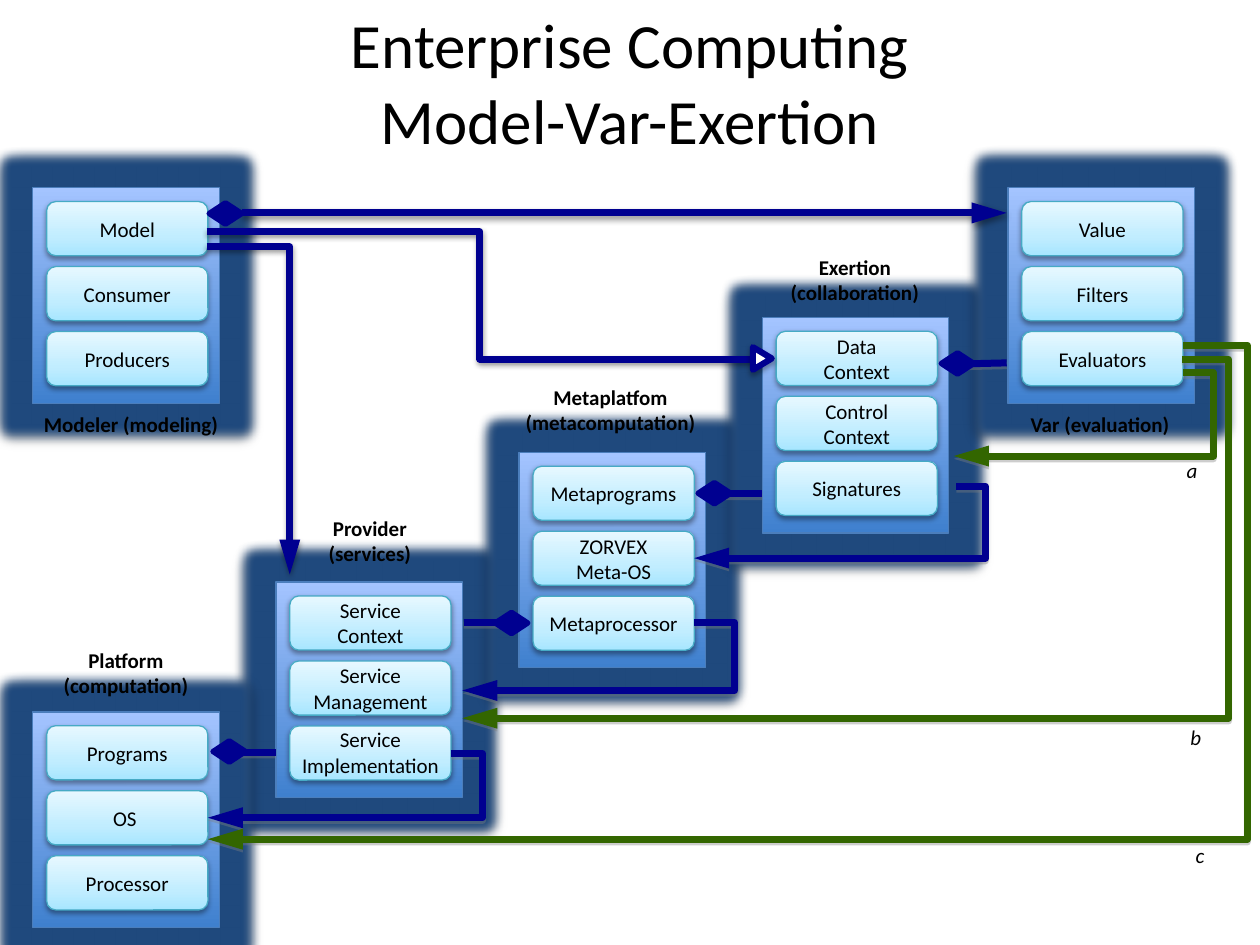
from typing import NamedTuple, Optional

import pptx
import pptx.dml.color
import pptx.enum.shapes
import pptx.enum.text
import pptx.oxml
import pptx.oxml.ns
import pptx.util

Inches = pptx.util.Inches
Pt = pptx.util.Pt
SHAPE = pptx.enum.shapes.MSO_SHAPE
CONNECTOR = pptx.enum.shapes.MSO_CONNECTOR
ALIGN = pptx.enum.text.PP_ALIGN
ANCHOR = pptx.enum.text.MSO_ANCHOR
qn = pptx.oxml.ns.qn

NAVY, GREEN = "000090", "336600"
PANEL_WIDTH, PANEL_HEIGHT = 1.48, 1.71
BUTTON_WIDTH, BUTTON_HEIGHT, BUTTON_MARGIN = 1.28, 0.43, 0.11
BUTTON_PITCH = BUTTON_HEIGHT * 1.2
PANEL_STOPS = [(0, "3F80CE"), (100, "A4C4FF")]
BUTTON_STOPS = [(0, "A7E6FF"), (35, "C1EDFF"), (100, "E7F8FF")]


class Shadow(NamedTuple):
    color: str
    opacity: int
    blur: float
    distance: float


PANEL_SHADOW = Shadow("000000", 35, 3.1, 1.8)
SOFT_SHADOW = Shadow("000000", 38, 3.1, 1.6)
HARD_SHADOW = Shadow("808080", 38, 0, 1.6)


class Panel(NamedTuple):
    left: float
    top: float
    buttons: tuple


class Label(NamedTuple):
    text: str
    left: float
    top: float
    width: float
    height: float
    format: dict


class Link(NamedTuple):
    start: tuple
    end: tuple
    color: str = NAVY
    bend_x: Optional[float] = None
    arrow: bool = True
    shadow: Shadow = HARD_SHADOW


PANELS = [
    Panel(2.19, 4.62, ("Service Context", "Service\nManagement", "")),
    Panel(4.12, 3.59, ("Metaprograms", "ZORVEX\nMeta-OS", "Metaprocessor")),
    Panel(6.05, 2.52, ("Data\nContext", "Control\nContext", "Signatures")),
    Panel(8, 1.49, ("Value", "Filters", "Evaluators")),
    Panel(0.26, 5.65, ("Programs", "OS ", "Processor")),
    Panel(0.26, 1.49, ("Model", "Consumer", "Producers")),
]

LINKS = [
    Link((9.39, 2.96), (7.57, 3.62), GREEN, 9.63),
    Link((7.58, 2.89), (7.99, 2.88), arrow=False),
    Link((7.59, 3.86), (5.51, 4.43), bend_x=7.82),
    Link((5.63, 3.92), (6.05, 3.92), arrow=False),
    Link((3.68, 4.94), (4.07, 4.94), arrow=False),
    Link((1.78, 5.97), (2.19, 5.97), arrow=False),
    Link((3.58, 5.98), (1.65, 6.49), bend_x=3.83),
    Link((5.51, 4.94), (3.67, 5.48), bend_x=5.83),
    Link((9.38, 2.85), (3.67, 5.7), GREEN, 9.75),
    Link((9.39, 2.74), (1.65, 6.66), GREEN, 9.9),
    Link((1.64, 1.84), (5.97, 2.85), bend_x=3.81, arrow=False, shadow=SOFT_SHADOW),
    Link((1.92, 1.69), (7.99, 1.69), shadow=SOFT_SHADOW),
    Link((1.64, 1.96), (2.3, 4.56), bend_x=2.3, shadow=SOFT_SHADOW),
]

DIAMONDS = [(1.69, 5.88), (3.93, 4.86), (5.54, 3.83), (7.47, 2.8), (1.66, 1.61)]

BOLD = {"bold": True}
NOTE = {"italic": True, "align": ALIGN.LEFT}
LABELS = [
    Label("Metaplatfom\n(metacomputation)", 4.04, 3, 1.61, 0.5, BOLD),
    Label("Exertion\n(collaboration)", 6.15, 1.97, 1.27, 0.51, BOLD),
    Label("Provider\n(services)", 2.29, 4.04, 1.29, 0.51, BOLD),
    Label("Platform\n(computation)", 0.32, 5.09, 1.36, 0.5, BOLD),
    Label("Var (evaluation)", 7.98, 3.22, 1.5, 0.3, BOLD),
    Label("Modeler (modeling)", 0.25, 3.22, 1.7, 0.3, {"bold": True, "align": ALIGN.LEFT}),
    Label("Service\nImplementation", 2.28, 5.72, 1.32, 0.5, {}),
    Label("a", 9.32, 3.58, 0.34, 0.3, NOTE),
    Label("b", 9.35, 5.7, 0.34, 0.3, NOTE),
    Label("c", 9.39, 6.64, 0.34, 0.3, NOTE),
    Label("Enterprise Computing\nModel-Var-Exertion", 0, 0.02, 10, 1.25,
          {"size": 36, "anchor": ANCHOR.MIDDLE}),
]


def rgb(color: str):
    return pptx.dml.color.RGBColor.from_string(color)


def write_text(shape, text: str, *, size=12, bold=False, italic=False,
               align=ALIGN.CENTER, anchor=ANCHOR.TOP) -> None:
    frame = shape.text_frame
    frame.word_wrap = True
    frame.vertical_anchor = anchor
    frame.text = text
    for paragraph in frame.paragraphs:
        paragraph.alignment = align
        for run in paragraph.runs:
            font = run.font
            font.name, font.size = "Calibri", Pt(size)
            font.bold, font.italic = bold, italic
            font.color.rgb = rgb("000000")


def add_color(parent, color: str, opacity: int = 100) -> None:
    element = pptx.oxml.ns.qn("a:srgbClr")
    element = parent.makeelement(element, {"val": color})
    parent.append(element)
    if opacity < 100:
        element.append(element.makeelement(qn("a:alpha"), {"val": str(opacity * 1000)}))


def add_child(parent, tag: str, **attributes):
    child = parent.makeelement(qn(tag), {name: str(value) for name, value in attributes.items()})
    parent.append(child)
    return child


def set_effects(shape, shadow: Optional[Shadow] = None, glow: float = 0) -> None:
    """Set the effects; the outline must be set before, as the schema orders them."""
    effects = add_child(shape.element.spPr, "a:effectLst")
    if glow:
        add_color(add_child(effects, "a:glow", rad=Pt(glow)), "1F497D")
    if shadow:
        outer = add_child(effects, "a:outerShdw", blurRad=Pt(shadow.blur),
                          dist=Pt(shadow.distance), dir=5400000, rotWithShape=0)
        add_color(outer, shadow.color, shadow.opacity)


def set_line(shape, color: str, width: float) -> None:
    shape.line.color.rgb = rgb(color)
    shape.line.width = Pt(width)


def set_gradient(shape, stops: list) -> None:
    shape.fill.gradient()
    shape.fill.gradient_angle = 90
    stop_list = shape.element.spPr.find(".//" + qn("a:gsLst"))
    for stop in list(stop_list):
        stop_list.remove(stop)
    for position, color in stops:
        add_color(add_child(stop_list, "a:gs", pos=position * 1000), color)


def add_shape(slide, kind, left: float, top: float, width: float, height: float):
    return slide.shapes.add_shape(kind, Inches(left), Inches(top), Inches(width), Inches(height))


def draw_panel(slide, panel: Panel) -> None:
    frame = add_shape(slide, SHAPE.RECTANGLE, panel.left, panel.top, PANEL_WIDTH, PANEL_HEIGHT)
    set_gradient(frame, PANEL_STOPS)
    set_line(frame, "4B7EBC", 0.75)
    set_effects(frame, PANEL_SHADOW, glow=12)
    for row, text in enumerate(panel.buttons):
        button = add_shape(slide, SHAPE.ROUNDED_RECTANGLE, panel.left + BUTTON_MARGIN,
                           panel.top + BUTTON_MARGIN + row * BUTTON_PITCH,
                           BUTTON_WIDTH, BUTTON_HEIGHT)
        set_gradient(button, BUTTON_STOPS)
        set_line(button, "46AAC5", 0.75)
        set_effects(button, SOFT_SHADOW)
        if text:
            write_text(button, text, anchor=ANCHOR.MIDDLE)


def draw_link(slide, link: Link) -> None:
    kind = CONNECTOR.STRAIGHT if link.bend_x is None else CONNECTOR.ELBOW
    connector = slide.shapes.add_connector(kind, *map(Inches, link.start + link.end))
    set_line(connector, link.color, 4)
    if link.bend_x is not None:
        geometry = connector.element.spPr.find(qn("a:prstGeom"))
        if link.bend_x == link.end[0]:
            geometry.set("prst", "bentConnector2")
        else:
            bend = (link.bend_x - link.start[0]) / (link.end[0] - link.start[0])
            add_child(geometry.find(qn("a:avLst")), "a:gd", name="adj1",
                      fmla=f"val {round(bend * 100000)}")
    if link.arrow:
        add_child(connector.element.spPr.find(qn("a:ln")), "a:tailEnd",
                  type="triangle", w="med", len="lg")
    set_effects(connector, link.shadow)


def draw_marker(slide, kind, box: tuple, fill: str, line_width: float,
                shadow: Optional[Shadow] = None, rotation: float = 0) -> None:
    marker = add_shape(slide, kind, *box)
    marker.rotation = rotation
    marker.fill.solid()
    marker.fill.fore_color.rgb = rgb(fill)
    set_line(marker, NAVY, line_width)
    set_effects(marker, shadow)


def main() -> None:
    presentation = pptx.Presentation()
    presentation.slide_width, presentation.slide_height = Inches(10), Inches(7.5)
    slide = presentation.slides.add_slide(presentation.slide_layouts[6])
    for panel in PANELS:
        draw_panel(slide, panel)
    for link in LINKS:
        draw_link(slide, link)
    for left, top in DIAMONDS:
        draw_marker(slide, SHAPE.FLOWCHART_DECISION, (left, top, 0.26, 0.17), NAVY, 3)
    draw_marker(slide, SHAPE.ISOSCELES_TRIANGLE, (5.96, 2.77, 0.18, 0.15), "FFFFFF", 3.5,
                PANEL_SHADOW, rotation=90)
    for label in LABELS:
        box = slide.shapes.add_textbox(*map(Inches, label[1:5]))
        write_text(box, label.text, **label.format)
    presentation.save("out.pptx")


if __name__ == "__main__":
    main()
